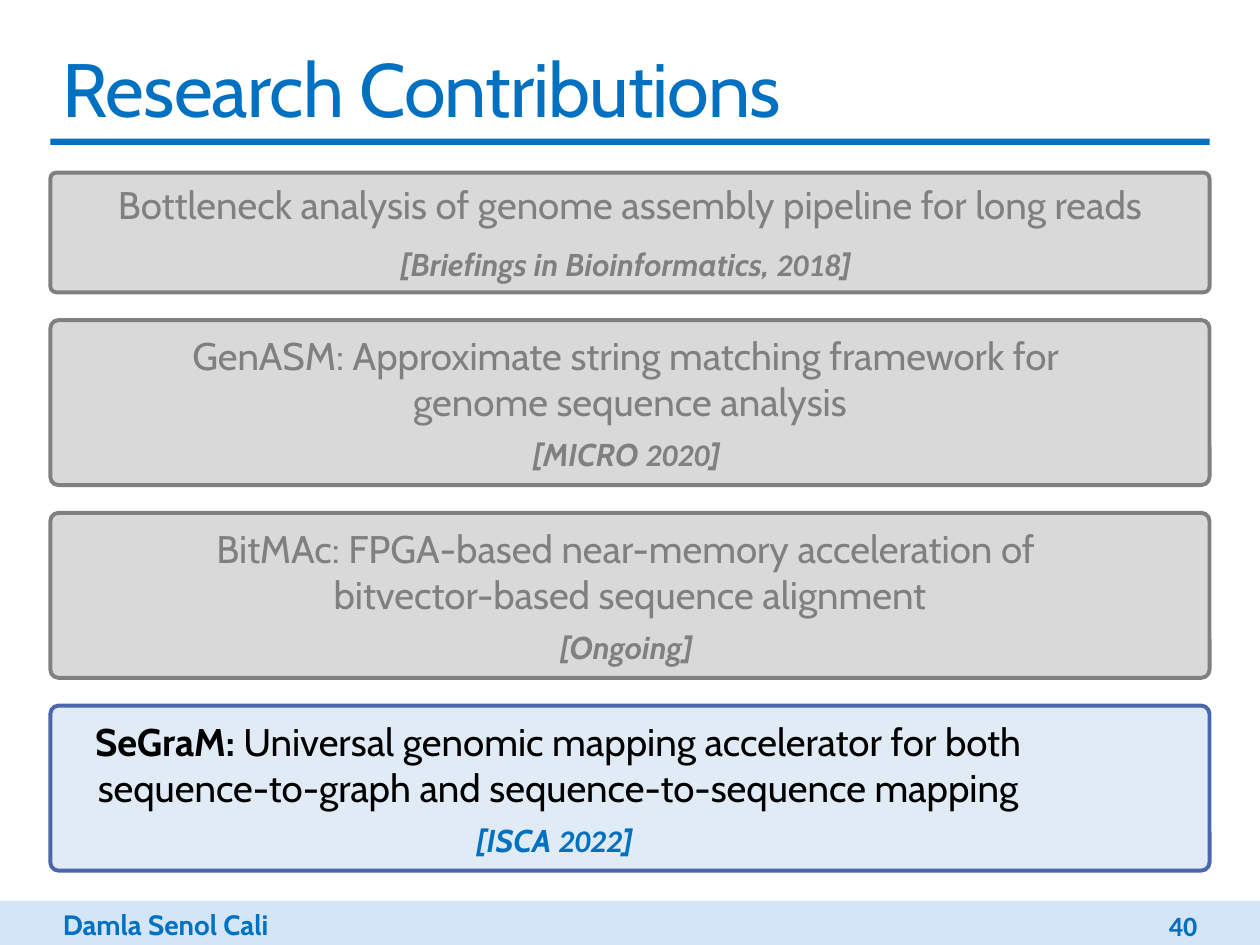
from pptx import Presentation
from pptx.dml.color import RGBColor
from pptx.enum.shapes import MSO_SHAPE
from pptx.enum.text import MSO_ANCHOR, PP_ALIGN
from pptx.util import Inches, Pt

RECTANGLE = MSO_SHAPE.RECTANGLE
ROUNDED = MSO_SHAPE.ROUNDED_RECTANGLE
MIDDLE, TOP = MSO_ANCHOR.MIDDLE, MSO_ANCHOR.TOP
LEFT, CENTER, RIGHT = PP_ALIGN.LEFT, PP_ALIGN.CENTER, PP_ALIGN.RIGHT

BLUE = RGBColor(0x00, 0x70, 0xC0)
FOOTER_BLUE = RGBColor(0xD4, 0xE5, 0xF7)
PALE_BLUE = RGBColor(0xE0, 0xEB, 0xF6)
OUTLINE_BLUE = RGBColor(0x4A, 0x66, 0xAC)
LIGHT_GRAY = RGBColor(0xD9, 0xD9, 0xD9)
GRAY = RGBColor(0x80, 0x80, 0x80)
BLACK = RGBColor(0x00, 0x00, 0x00)

TEXT_FONT, NUMBER_FONT = "Cabin", "Calibri"
MARGIN, CONTENT_WIDTH = 0.4, 9.2
FIRST_CARD_TOP, CARD_GAP = 1.37, 0.22

MUTED = (LIGHT_GRAY, GRAY, GRAY, GRAY)
ACTIVE = (PALE_BLUE, OUTLINE_BLUE, BLACK, BLUE)

CARDS = [
    (0.95, MUTED,
     [[("Bottleneck analysis of genome assembly pipeline for long reads", False)]],
     ("[Briefings in Bioinformatics, ", "2018", "]"), 0),
    (1.31, MUTED,
     [[("GenASM: Approximate string matching framework for ", False)],
      [("genome sequence analysis", False)]],
     ("[MICRO ", "2020", "] "), 0),
    (1.31, MUTED,
     [[("BitMAc: FPGA-based near-memory acceleration of ", False)],
      [("bitvector-based sequence alignment", False)]],
     ("[Ongoing] ",), 0),
    (1.31, ACTIVE,
     [[("SeGraM: ", True),
       ("Universal genomic mapping accelerator for both", False)],
      [("sequence-to-graph and sequence-to-sequence mapping", False)]],
     ("[ISCA ", "2022", "] "), 0.57),
]


def add_span(para, text, size, color, bold=False, italic=False, name=TEXT_FONT):
    span = para.add_run()
    span.text = text
    span.font.name = name
    span.font.size = Pt(size)
    span.font.color.rgb = color
    span.font.bold = bold
    span.font.italic = italic
    return span


def add_block(page, kind, left, top, width, height, fill):
    block = page.shapes.add_shape(
        kind, Inches(left), Inches(top), Inches(width), Inches(height))
    block.shadow.inherit = False
    block.fill.solid()
    block.fill.fore_color.rgb = fill
    block.line.fill.background()
    return block


def add_label(page, left, top, width, height, text, size,
              anchor=MIDDLE, align=LEFT, bold=True, name=TEXT_FONT):
    box = page.shapes.add_textbox(
        Inches(left), Inches(top), Inches(width), Inches(height))
    frame = box.text_frame
    frame.word_wrap = True
    frame.vertical_anchor = anchor
    para = frame.paragraphs[0]
    para.alignment = align
    return add_span(para, text, size, BLUE, bold, name=name)


def add_card(page, top, height, palette, lines, venue, right_indent):
    fill, outline, text_color, venue_color = palette
    card = add_block(page, ROUNDED, MARGIN, top, CONTENT_WIDTH, height, fill)
    card.adjustments[0] = 0.05
    card.line.color.rgb = outline
    card.line.width = Pt(2.25)
    frame = card.text_frame
    frame.word_wrap = True
    frame.vertical_anchor = MIDDLE

    for index, line in enumerate(lines):
        para = frame.paragraphs[0] if index == 0 else frame.add_paragraph()
        para.alignment = CENTER
        if index == 0 and right_indent:
            properties = para._p.get_or_add_pPr()
            properties.set("marR", str(Inches(2 * right_indent)))
        for text, bold in line:
            add_span(para, text, 22, text_color, bold)

    para = frame.add_paragraph()
    para.alignment = CENTER
    para.space_before = Pt(6)
    for text in venue:
        name = NUMBER_FONT if text.isdigit() else TEXT_FONT
        add_span(para, text, 18, venue_color, True, True, name)
    if len(lines) == 1:
        add_span(para, " ", 22, venue_color, italic=True)


def main():
    deck = Presentation()
    deck.slide_width, deck.slide_height = Inches(10), Inches(7.5)
    page = deck.slides.add_slide(deck.slide_layouts[6])

    add_block(page, RECTANGLE, 0, 7.15, 10, 0.35, FOOTER_BLUE)
    add_block(page, RECTANGLE, MARGIN, 1.1, CONTENT_WIDTH, 0.05, BLUE)
    add_label(page, MARGIN, 7.15, 2.5, 0.37, "Damla Senol Cali", 16, anchor=TOP)
    title = add_label(page, MARGIN, 0.28, CONTENT_WIDTH, 0.82,
                      "Research Contributions", 43.2, bold=False)
    title.font._element.set("spc", "-50")
    add_label(page, 8.22, 7.19, 1.38, 0.3, "40", 16,
              align=RIGHT, name=NUMBER_FONT)

    top = FIRST_CARD_TOP
    for height, palette, lines, venue, right_indent in CARDS:
        add_card(page, top, height, palette, lines, venue, right_indent)
        top += height + CARD_GAP

    deck.save("out.pptx")


if __name__ == "__main__":
    main()
